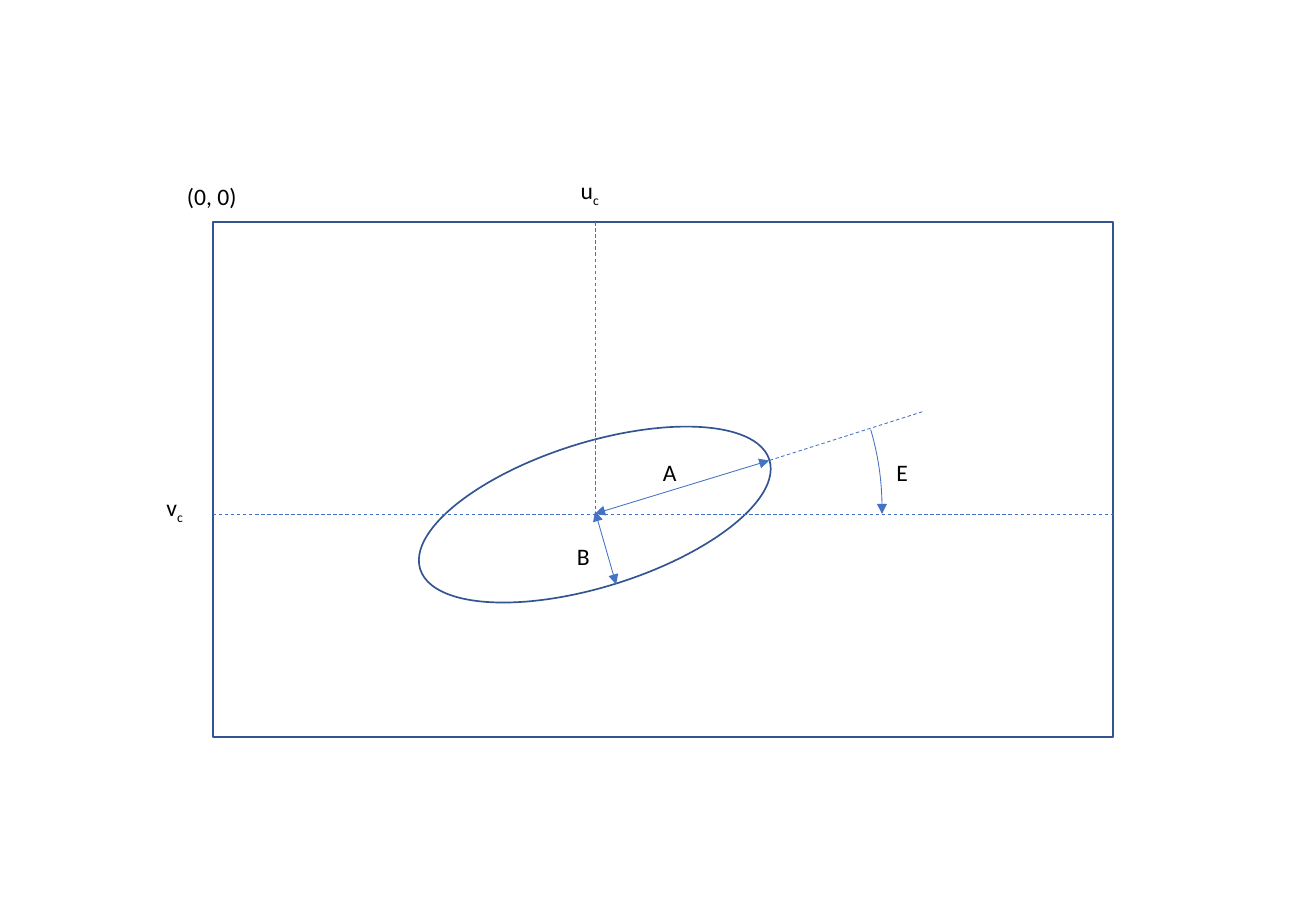
from dataclasses import dataclass

from lxml.etree import SubElement
from pptx import Presentation
from pptx.dml.color import RGBColor
from pptx.dml.line import LineFormat
from pptx.enum.dml import MSO_LINE as Dash
from pptx.enum.shapes import MSO_CONNECTOR as Link, MSO_SHAPE as Kind
from pptx.enum.text import MSO_AUTO_SIZE as Fit
from pptx.oxml.ns import qn
from pptx.util import Cm, Pt

DARK, BLUE, BLACK = "325491", "4472C4", "000000"

# Key points of the drawing, in cm
LEFT, TOP, WIDE, HIGH = 4.45, 4.65, 18.82, 10.77
MID_X, MID_Y = 12.44, 10.76
TIP_X, TIP_Y = 16.08, 9.63


@dataclass
class Form:
    kind: Kind
    x: float
    y: float
    w: float
    h: float
    color: str = DARK
    width: float = 1
    turn: float = 0


@dataclass
class Line:
    x1: float
    y1: float
    x2: float
    y2: float
    ends: tuple = ()
    dashed: bool = False


@dataclass
class Label:
    x: float
    y: float
    w: float
    text: str
    sub: str = ""


FRAME = Form(Kind.RECTANGLE, LEFT, TOP, WIDE, HIGH)
OVAL = Form(Kind.OVAL, 8.61, 9.25, 7.65, 3.02, turn=342.6)
ARC = Form(Kind.ARC, 6.43, TOP, 12.01, 12.01, BLUE, 0.5)

BOTH = ("headEnd", "tailEnd")
LINES = [
    Line(MID_X, TOP, MID_X, MID_Y, dashed=True),
    Line(LEFT, MID_Y, LEFT + WIDE, MID_Y, dashed=True),
    Line(TIP_X, TIP_Y, MID_X, 10.74, BOTH),
    Line(12.88, 12.22, MID_X, 10.69, BOTH),
    Line(19.28, 8.61, TIP_X, TIP_Y, dashed=True),
]

LABELS = [
    Label(13.61, 9.45, 0.81, "A"),
    Label(11.81, 11.2, 0.79, "B"),
    Label(18.49, 9.45, 0.76, "E"),
    Label(11.89, 3.56, 0.91, "u", "c"),
    Label(3.23, 10.19, 0.89, "v", "c"),
    Label(3.66, 3.68, 1.55, "(0, 0)"),
]


def paint(hue: str) -> RGBColor:
    return RGBColor.from_string(hue)


def stroke(line: LineFormat, color: str, width: float, ends: tuple = ()) -> None:
    line.color.rgb = paint(color)
    line.width = Pt(width)
    for end in ends:
        SubElement(line._get_or_add_ln(), qn(f"a:{end}"), type="triangle")


def add_form(shapes, form: Form, ends: tuple = ()):
    shape = shapes.add_shape(form.kind, Cm(form.x), Cm(form.y), Cm(form.w), Cm(form.h))
    shape.shadow.inherit = False
    shape.fill.background()
    shape.rotation = form.turn
    stroke(shape.line, form.color, form.width, ends)
    return shape


def add_line(shapes, item: Line) -> None:
    link = shapes.add_connector(
        Link.STRAIGHT, Cm(item.x1), Cm(item.y1), Cm(item.x2), Cm(item.y2))
    if item.dashed:
        link.line.dash_style = Dash.DASH
    stroke(link.line, BLUE, 0.5, item.ends)
    SubElement(link._element.spPr, qn("a:effectLst"))


def add_label(shapes, label: Label) -> None:
    box = shapes.add_textbox(Cm(label.x), Cm(label.y), Cm(label.w), Cm(0.86))
    frame = box.text_frame
    frame.word_wrap = False
    frame.auto_size = Fit.SHAPE_TO_FIT_TEXT
    for text, base in ((label.text, 0), (label.sub, -25000)):
        if not text:
            continue
        run = frame.paragraphs[0].add_run()
        run.text = text
        run.font.name = "Calibri"
        run.font.size = Pt(14)
        run.font.color.rgb = paint(BLACK)
        if base:
            run._r.get_or_add_rPr().set("baseline", str(base))


def main() -> None:
    deck = Presentation()
    deck.slide_width, deck.slide_height = Cm(27.51), Cm(19.05)
    shapes = deck.slides.add_slide(deck.slide_layouts[6]).shapes

    # Image frame and tilted ellipse
    add_form(shapes, FRAME)
    add_form(shapes, OVAL)

    # Centre lines and half axes
    for item in LINES:
        add_line(shapes, item)

    # Angle arc: the adjustments are degrees times 0.6
    arc = add_form(shapes, ARC, ("tailEnd",))
    for i, angle in enumerate((343.83, 0.9)):
        arc.adjustments[i] = angle * 0.6

    # Labels
    for label in LABELS:
        add_label(shapes, label)

    deck.save("out.pptx")


if __name__ == "__main__":
    main()
